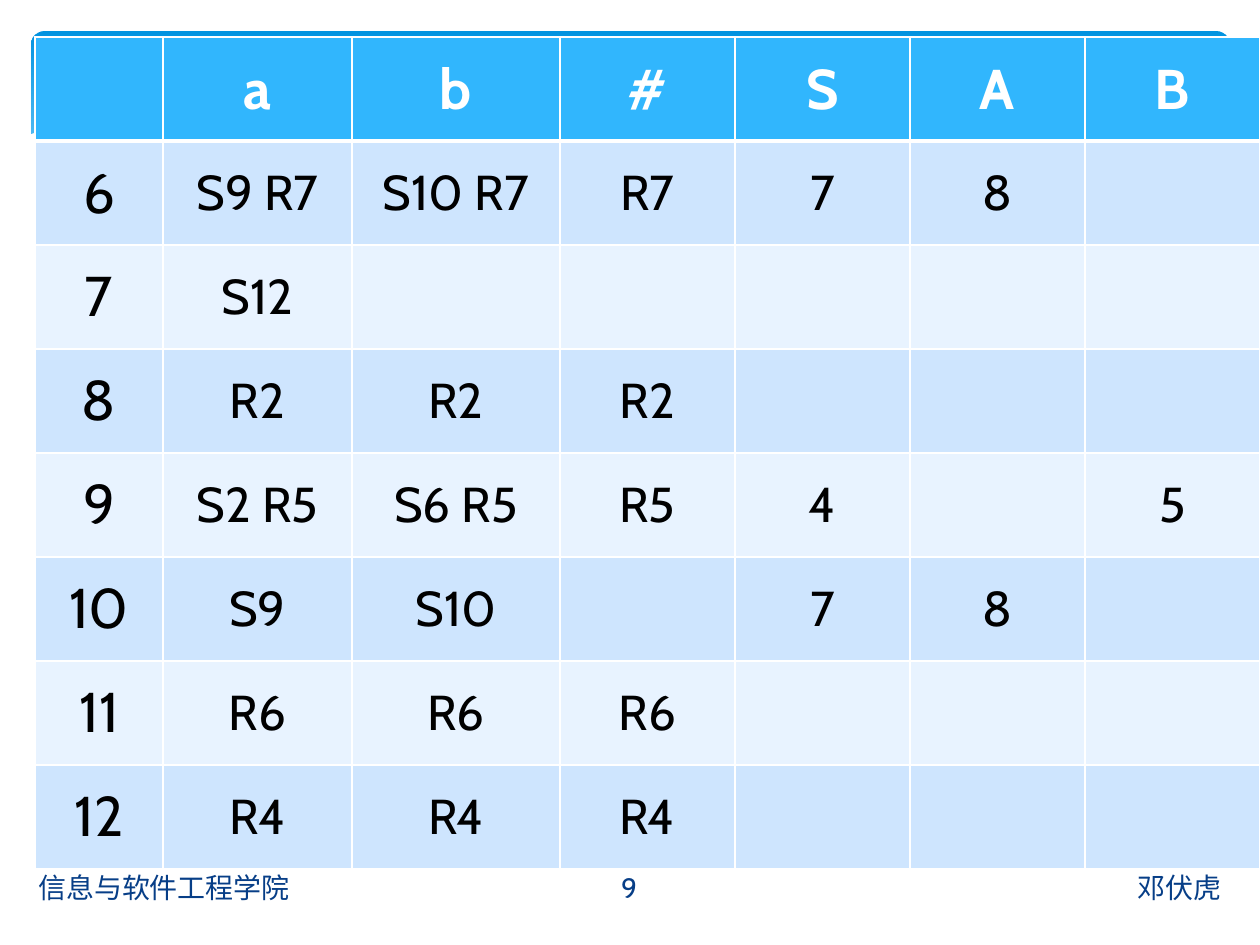
from dataclasses import dataclass

from lxml import etree
from pptx import Presentation
from pptx.dml.color import RGBColor
from pptx.enum.shapes import MSO_SHAPE
from pptx.enum.text import MSO_ANCHOR, PP_ALIGN
from pptx.oxml.ns import qn
from pptx.util import Emu, Pt

SCALE = 914400 // 126
LEFT, CENTER, RIGHT = PP_ALIGN.LEFT, PP_ALIGN.CENTER, PP_ALIGN.RIGHT
MIDDLE = MSO_ANCHOR.MIDDLE
ROUNDED = MSO_SHAPE.ROUNDED_RECTANGLE
BLANK_LAYOUT = 6


@dataclass(frozen=True)
class Theme:
    font: str = "Cabin"
    white: str = "FFFFFF"
    black: str = "000000"
    navy: str = "073E87"
    header: str = "31B6FD"
    bands: tuple = ("CEE5FE", "E8F3FF")
    banner: tuple = ("0293E0", "83D3FE")
    label_size: int = 32
    action_size: int = 28
    footer_size: int = 16
    thin: int = 1
    thick: int = 3


THEME = Theme()

WAVE = [(1231, 178), (1159, 200), (1071, 214), (959, 214), (842, 202), (699, 175),
        (563, 144), (428, 116), (315, 102), (223, 98), (134, 105), (74, 117),
        (45, 129), (29, 135), (29, 282), (1231, 282)]

COLUMNS = [128, 189, 208, 175, 175, 175, 175]
ROW_HEIGHT = 104
PARSING_TABLE = [
    ["", "a", "b", "#", "S", "A", "B"],
    ["6", "S9 R7", "S10 R7", "R7", "7", "8", ""],
    ["7", "S12", "", "", "", "", ""],
    ["8", "R2", "R2", "R2", "", "", ""],
    ["9", "S2 R5", "S6 R5", "R5", "4", "", "5"],
    ["10", "S9", "S10", "", "7", "8", ""],
    ["11", "R6", "R6", "R6", "", "", ""],
    ["12", "R4", "R4", "R4", "", "", ""],
]

FOOTERS = [
    (26, 522, "信息与软件工程学院", LEFT),
    (549, 160, "9", CENTER),
    (712, 522, "邓伏虎", RIGHT),
]


def px(*lengths):
    return [Emu(length * SCALE) for length in lengths]


def rgb(color):
    return RGBColor.from_string(color)


def write(frame, text, size, color, align, bold=False):
    frame.text = text
    paragraph = frame.paragraphs[0]
    paragraph.alignment = align
    for run in paragraph.runs:
        run.font.name = THEME.font
        run.font.size = Pt(size)
        run.font.bold = bold
        run.font.color.rgb = rgb(color)


def add_banner(slide):
    banner = slide.shapes.add_shape(ROUNDED, *px(31, 31, 1199, 197))
    banner.adjustments[0] = 0.07
    banner.shadow.inherit = False
    banner.line.fill.background()
    banner.fill.gradient()
    banner.fill.gradient_angle = 270
    for stop, color, position in zip(banner.fill.gradient_stops, THEME.banner, (0, 0.9)):
        stop.color.rgb = rgb(color)
        stop.position = position


def add_wave(slide):
    builder = slide.shapes.build_freeform(*WAVE[0], scale=SCALE)
    builder.add_line_segments(WAVE[1:], close=True)
    wave = builder.convert_to_shape()
    wave.shadow.inherit = False
    wave.fill.solid()
    wave.fill.fore_color.rgb = rgb(THEME.white)
    wave.line.fill.background()


def add_footer(slide, left, width, text, align):
    footer = slide.shapes.add_textbox(*px(left, 862, width, 50))
    footer.text_frame.word_wrap = True
    footer.text_frame.vertical_anchor = MIDDLE
    write(footer.text_frame, text, THEME.footer_size, THEME.navy, align)


def set_borders(cell, top, bottom):
    properties = cell._tc.get_or_add_tcPr()
    widths = {"a:lnL": THEME.thin, "a:lnR": THEME.thin, "a:lnT": top, "a:lnB": bottom}
    for position, (side, width) in enumerate(widths.items()):
        line = etree.Element(qn(side), w=str(Pt(width)))
        fill = etree.SubElement(line, qn("a:solidFill"))
        etree.SubElement(fill, qn("a:srgbClr"), val=THEME.white)
        properties.insert(position, line)


def format_cell(cell, text, row, column):
    is_header = row == 0
    is_label = is_header or column == 0
    cell.fill.solid()
    cell.fill.fore_color.rgb = rgb(THEME.header if is_header else THEME.bands[(row - 1) % 2])
    cell.vertical_anchor = MIDDLE
    write(cell.text_frame, text,
          THEME.label_size if is_label else THEME.action_size,
          THEME.white if is_header else THEME.black, CENTER, is_header)
    set_borders(cell,
                THEME.thick if row == 1 else THEME.thin,
                THEME.thick if is_header else THEME.thin)


def add_parsing_table(slide):
    row_count = len(PARSING_TABLE)
    bounds = px(35, 37, sum(COLUMNS), ROW_HEIGHT * row_count)
    table = slide.shapes.add_table(row_count, len(COLUMNS), *bounds).table
    for column, width in zip(table.columns, px(*COLUMNS)):
        column.width = width
    for row, texts in enumerate(PARSING_TABLE):
        table.rows[row].height = Emu(ROW_HEIGHT * SCALE)
        for column, text in enumerate(texts):
            format_cell(table.cell(row, column), text, row, column)


def main():
    deck = Presentation()
    deck.slide_width, deck.slide_height = px(1260, 945)
    slide = deck.slides.add_slide(deck.slide_layouts[BLANK_LAYOUT])
    add_banner(slide)
    add_wave(slide)
    for footer in FOOTERS:
        add_footer(slide, *footer)
    add_parsing_table(slide)
    deck.save("out.pptx")


main()
